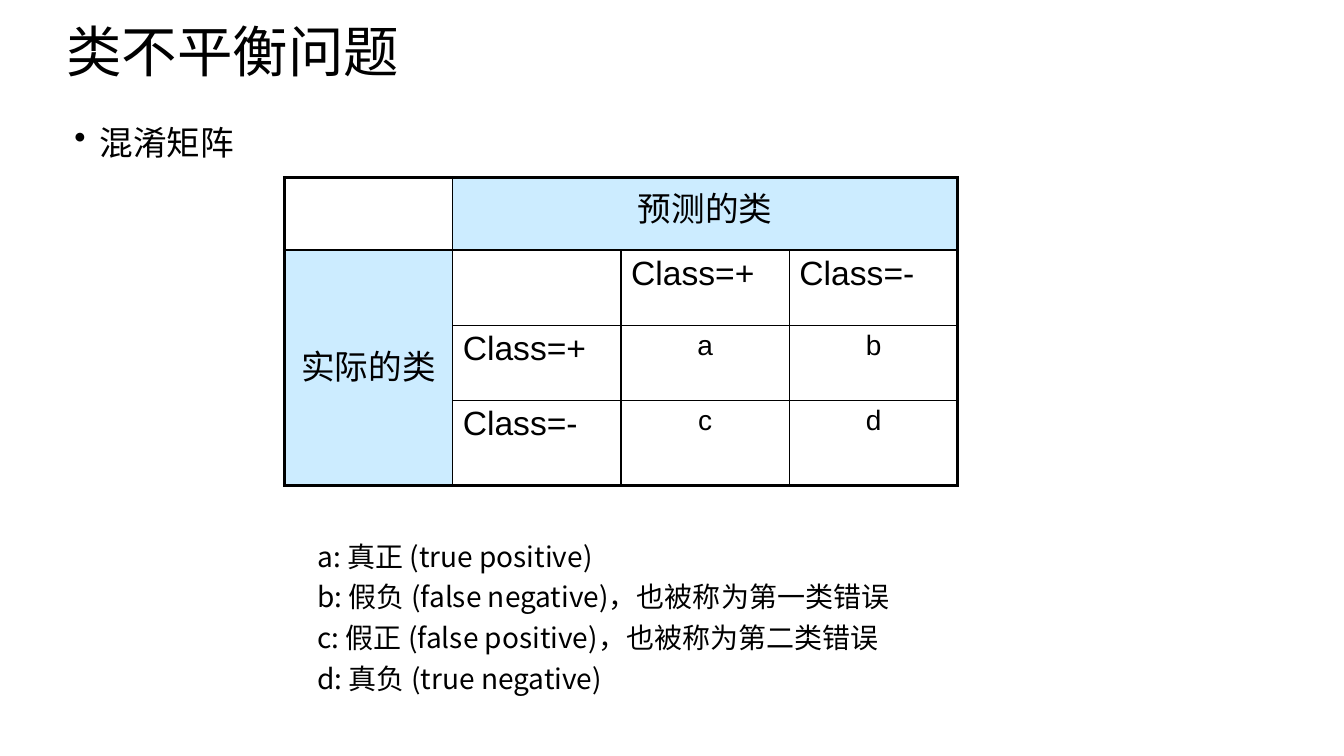
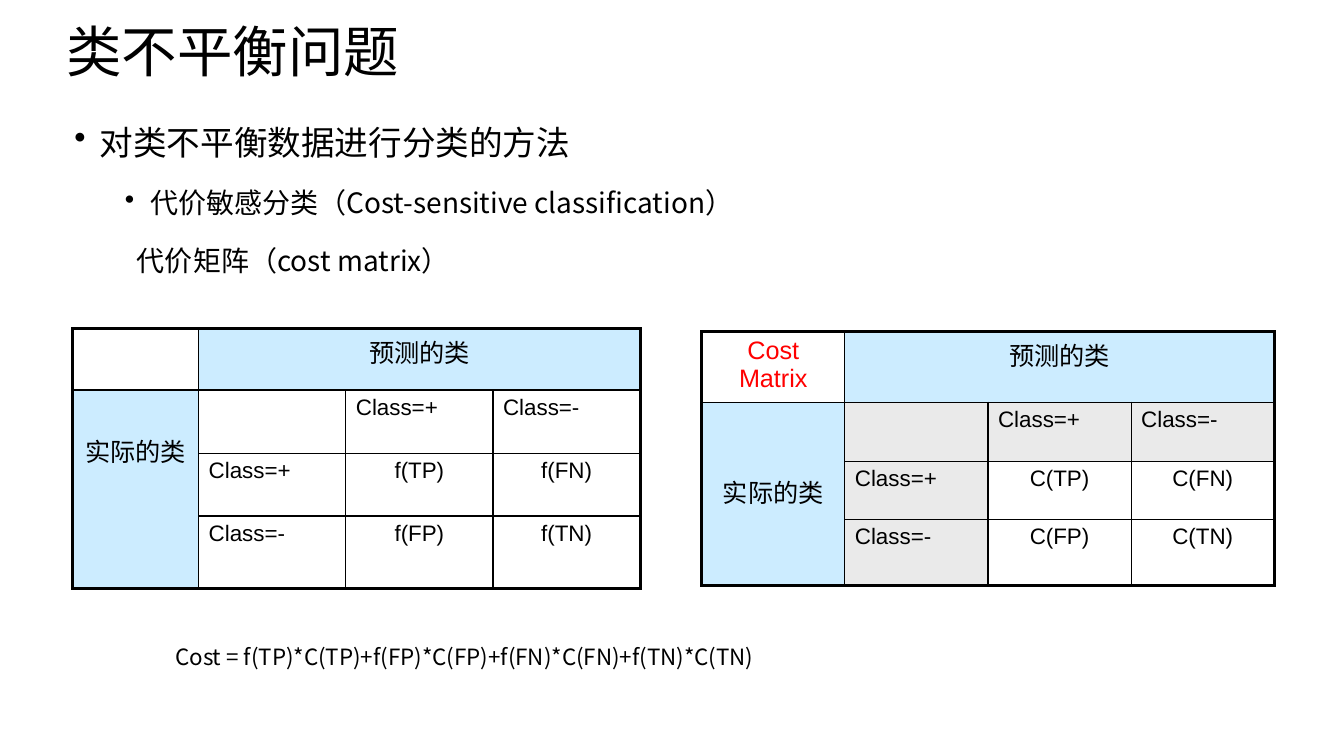
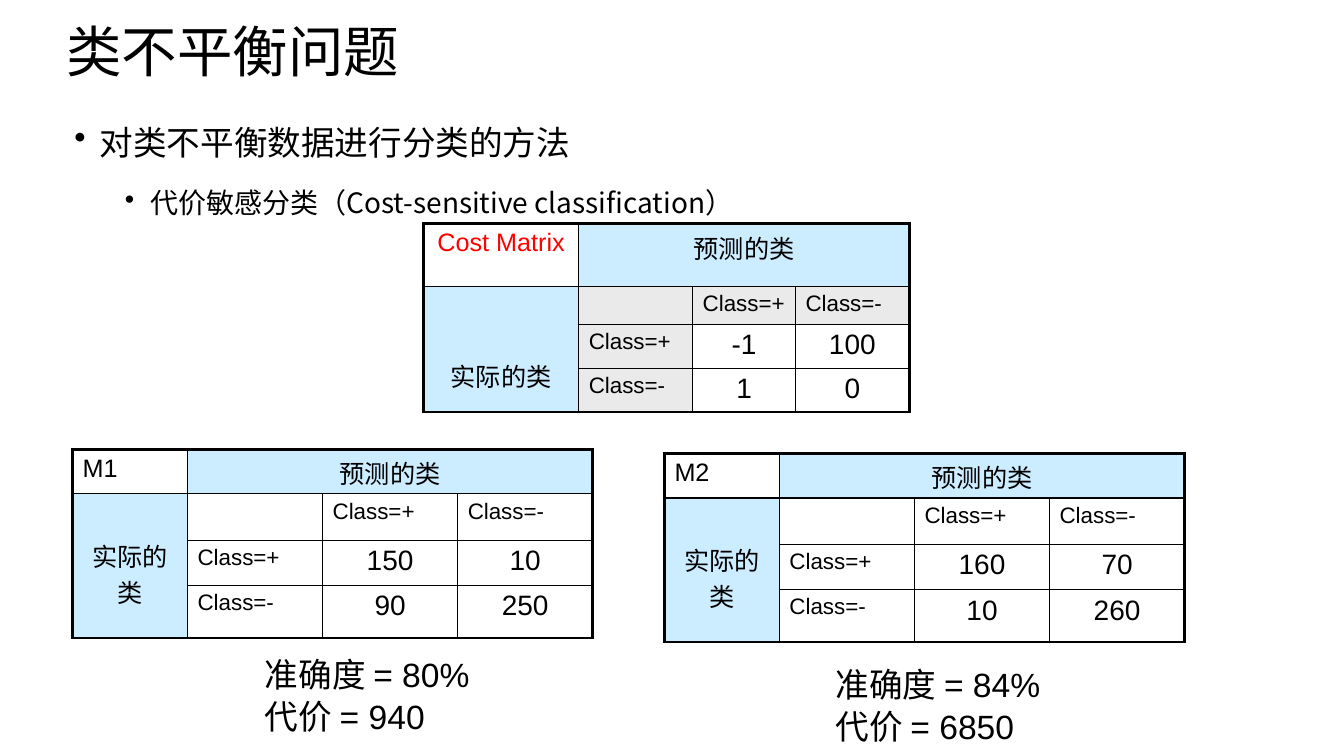
"""Builds three slides on confusion and cost matrices for imbalanced classes."""
from dataclasses import dataclass

from lxml import etree
from pptx import Presentation
from pptx import util as u
from pptx.dml.color import RGBColor
from pptx.enum import text
from pptx.oxml import ns


@dataclass(frozen=True)
class Theme:
    """Colours, fonts, type sizes and line widths of the deck."""
    ink: str = "000000"
    alert: str = "FF0000"
    header: str = "CCECFF"
    shade: str = "EAEAEA"
    body_font: str = "Noto Sans CJK SC"
    grid_font: str = "Arial"
    title: float = 39.6
    large: int = 24
    medium: int = 20
    label: int = 18
    small: int = 16
    thin: float = 1
    thick: float = 2.25


THEME = Theme()
TITLE = "类不平衡问题"
METHODS = "对类不平衡数据进行分类的方法"
COST_SENSITIVE = "代价敏感分类（Cost-sensitive classification）"
PREDICTED, ACTUAL = "预测的类", "实际的类"
POSITIVE, NEGATIVE = "Class=+", "Class=-"


@dataclass(frozen=True)
class Look:
    """Type sizes, label offset and shading of one matrix."""
    header: int = THEME.label
    names: int = THEME.small
    values: int = THEME.medium
    actual_top: float = 0.43
    corner_color: str = THEME.ink
    corner_align: text.PP_ALIGN = text.PP_ALIGN.CENTER
    shaded: bool = False


def style(para, size, font=THEME.body_font, color=THEME.ink):
    """Sets the font of a whole paragraph."""
    para.font.size = u.Pt(size)
    para.font.name = font
    para.font.color.rgb = RGBColor.from_string(color)


def add_slide(deck):
    """Adds a slide with the shared title."""
    page = deck.slides.add_slide(deck.slide_layouts[5])
    box = page.shapes.title
    box.left, box.top = u.Inches(0.56), u.Inches(0.25)
    box.width, box.height = u.Inches(12.07), u.Inches(0.58)
    frame = box.text_frame
    frame.text = TITLE
    frame.auto_size = text.MSO_AUTO_SIZE.NONE
    frame.vertical_anchor = text.MSO_ANCHOR.MIDDLE
    para = frame.paragraphs[0]
    para.alignment = text.PP_ALIGN.LEFT
    para.line_spacing = 0.9
    style(para, THEME.title)
    return page


def add_lines(page, at, lines, size, font=THEME.body_font, after=0):
    """Adds a wrapping text box and returns its paragraphs."""
    box = page.shapes.add_textbox(*map(u.Inches, at))
    frame = box.text_frame
    frame.word_wrap = True
    frame.text = "\n".join(lines)
    for para in frame.paragraphs:
        para.space_after = u.Pt(after)
        style(para, size, font)
    return frame.paragraphs


def add_outline(page, items):
    """Adds the outline from (text, size, left indent, bulleted) items."""
    paras = add_lines(page, (0.64, 0.96, 11.2, 2.2), [item[0] for item in items], THEME.large)
    for para, (_, size, indent, bulleted) in zip(paras, items):
        para.line_spacing = 1.5
        para.space_before = u.Pt(10 if size == THEME.large else 5)
        para.font.size = u.Pt(size)
        props = para._p.get_or_add_pPr()
        props.set("marL", str(u.Inches(indent)))
        if bulleted:
            props.set("indent", str(u.Inches(-0.25)))
            bullet = etree.Element(ns.qn("a:buChar"), char="•")
            props.find(ns.qn("a:defRPr")).addprevious(bullet)


def set_borders(cell, row, column):
    """Draws thick lines on the rim of the matrix and thin ones inside."""
    last_row = row + (cell.span_height if cell.is_merge_origin else 1) == 4
    last_column = column + (cell.span_width if cell.is_merge_origin else 1) == 4
    rim = {"lnL": column == 0, "lnR": last_column, "lnT": row == 0, "lnB": last_row}
    props = cell._tc.get_or_add_tcPr()
    for place, (side, outer) in enumerate(rim.items()):
        width = THEME.thick if outer else THEME.thin
        line = etree.Element(ns.qn("a:" + side), w=str(u.Pt(width)))
        fill = etree.SubElement(line, ns.qn("a:solidFill"))
        etree.SubElement(fill, ns.qn("a:srgbClr"), val=THEME.ink)
        props.insert(place, line)


def fill_cell(cell, words, size, color=THEME.ink, align=text.PP_ALIGN.LEFT, fill=None):
    """Writes and formats one cell."""
    cell.text = words
    para = cell.text_frame.paragraphs[0]
    para.alignment = align
    style(para, size, THEME.grid_font, color)
    if fill:
        cell.fill.solid()
        cell.fill.fore_color.rgb = RGBColor.from_string(fill)
    else:
        cell.fill.background()


def add_matrix(page, left, top, widths, heights, values, look, corner=""):
    """Adds a two-class matrix with merged headers."""
    table = page.shapes.add_table(4, 4, u.Inches(left), u.Inches(top),
                                  u.Inches(sum(widths)), u.Inches(sum(heights))).table
    table.first_row = table.horz_banding = False
    for column, width in zip(table.columns, widths):
        column.width = u.Inches(width)
    for row, height in zip(table.rows, heights):
        row.height = u.Inches(height)
    table.cell(0, 1).merge(table.cell(0, 3))
    table.cell(1, 0).merge(table.cell(3, 0))

    center = text.PP_ALIGN.CENTER
    fill_cell(table.cell(0, 0), corner, look.header, look.corner_color, look.corner_align)
    fill_cell(table.cell(0, 1), PREDICTED, look.header, align=center, fill=THEME.header)
    actual = table.cell(1, 0)
    fill_cell(actual, ACTUAL, look.header, align=center, fill=THEME.header)
    actual.margin_top = u.Inches(look.actual_top)

    grid = [("", POSITIVE, NEGATIVE), (POSITIVE, *values[0]), (NEGATIVE, *values[1])]
    for row, words in enumerate(grid, 1):
        for column, word in enumerate(words, 1):
            cell = table.cell(row, column)
            if row > 1 and column > 1:
                fill_cell(cell, word, look.values, align=center)
            else:
                fill_cell(cell, word, look.names, fill=THEME.shade if look.shaded else None)
    for row in range(4):
        for column in range(4):
            set_borders(table.cell(row, column), row, column)


def confusion_slide(deck):
    """Shows the confusion matrix and its four outcomes."""
    page = add_slide(deck)
    add_outline(page, [("混淆矩阵", THEME.large, 0.25, True)])
    look = Look(header=THEME.large, names=THEME.large, actual_top=0.9)
    add_matrix(page, 2.82, 1.76, [1.67] * 4, [0.72, 0.75, 0.74, 0.85],
               [("a", "b"), ("c", "d")], look)
    outcomes = ["a: 真正 (true positive)",
                "b: 假负 (false negative)，也被称为第一类错误",
                "c: 假正 (false positive)，也被称为第二类错误",
                "d: 真负 (true negative)"]
    add_lines(page, (3.05, 5.3, 7.23, 1.95), outcomes, THEME.medium, after=5)


def cost_slide(deck):
    """Shows the count matrix beside the cost matrix."""
    page = add_slide(deck)
    add_outline(page, [(METHODS, THEME.large, 0.25, True),
                       (COST_SENSITIVE, THEME.medium, 0.75, True),
                       ("代价矩阵（cost matrix）", THEME.medium, 0.62, False)])
    counts = Look(values=THEME.small, actual_top=0.42)
    add_matrix(page, 0.72, 3.26, [1.25] + [1.46] * 3, [0.61, 0.63, 0.62, 0.72],
               [("f(TP)", "f(FN)"), ("f(FP)", "f(TN)")], counts)
    costs = Look(values=THEME.small, actual_top=0.7, corner_color=THEME.alert, shaded=True)
    add_matrix(page, 6.96, 3.29, [1.42] * 4, [0.7, 0.59, 0.57, 0.66],
               [("C(TP)", "C(FN)"), ("C(FP)", "C(TN)")], costs, "Cost Matrix")
    add_lines(page, (1.64, 6.33, 10.2, 0.42),
              ["Cost = f(TP)*C(TP)+f(FP)*C(FP)+f(FN)*C(FN)+f(TN)*C(TN)"], THEME.small)


def comparison_slide(deck):
    """Compares accuracy and cost of two models."""
    page = add_slide(deck)
    add_outline(page, [(METHODS, THEME.large, 0.25, True),
                       (COST_SENSITIVE, THEME.medium, 0.75, True)])
    costs = Look(actual_top=0.7, corner_color=THEME.alert, shaded=True)
    add_matrix(page, 4.2, 2.22, [1.54, 1.13, 1.02, 1.13], [0.62, 0.38, 0.38, 0.39],
               [("-1", "100"), ("1", "0")], costs, "Cost Matrix")
    models = [
        ("M1", 0.72, 4.46, [("150", "10"), ("90", "250")], 2.53, 6.44, "80%", "940"),
        ("M2", 6.59, 4.5, [("160", "70"), ("10", "260")], 8.19, 6.54, "84%", "6850"),
    ]
    look = Look(corner_align=text.PP_ALIGN.LEFT)
    for name, left, top, values, note_left, note_top, accuracy, cost in models:
        add_matrix(page, left, top, [1.14] + [1.34] * 3, [0.44, 0.46, 0.45, 0.52],
                   values, look, name)
        add_lines(page, (note_left, note_top, 3.33, 1.08),
                  [f"准确度 = {accuracy}", f"代价 = {cost}"],
                  THEME.large, THEME.grid_font, after=1)


def main():
    """Builds and saves the deck."""
    deck = Presentation()
    deck.slide_width, deck.slide_height = u.Inches(13.33), u.Inches(7.5)
    confusion_slide(deck)
    cost_slide(deck)
    comparison_slide(deck)
    deck.save("out.pptx")


if __name__ == "__main__":
    main()
